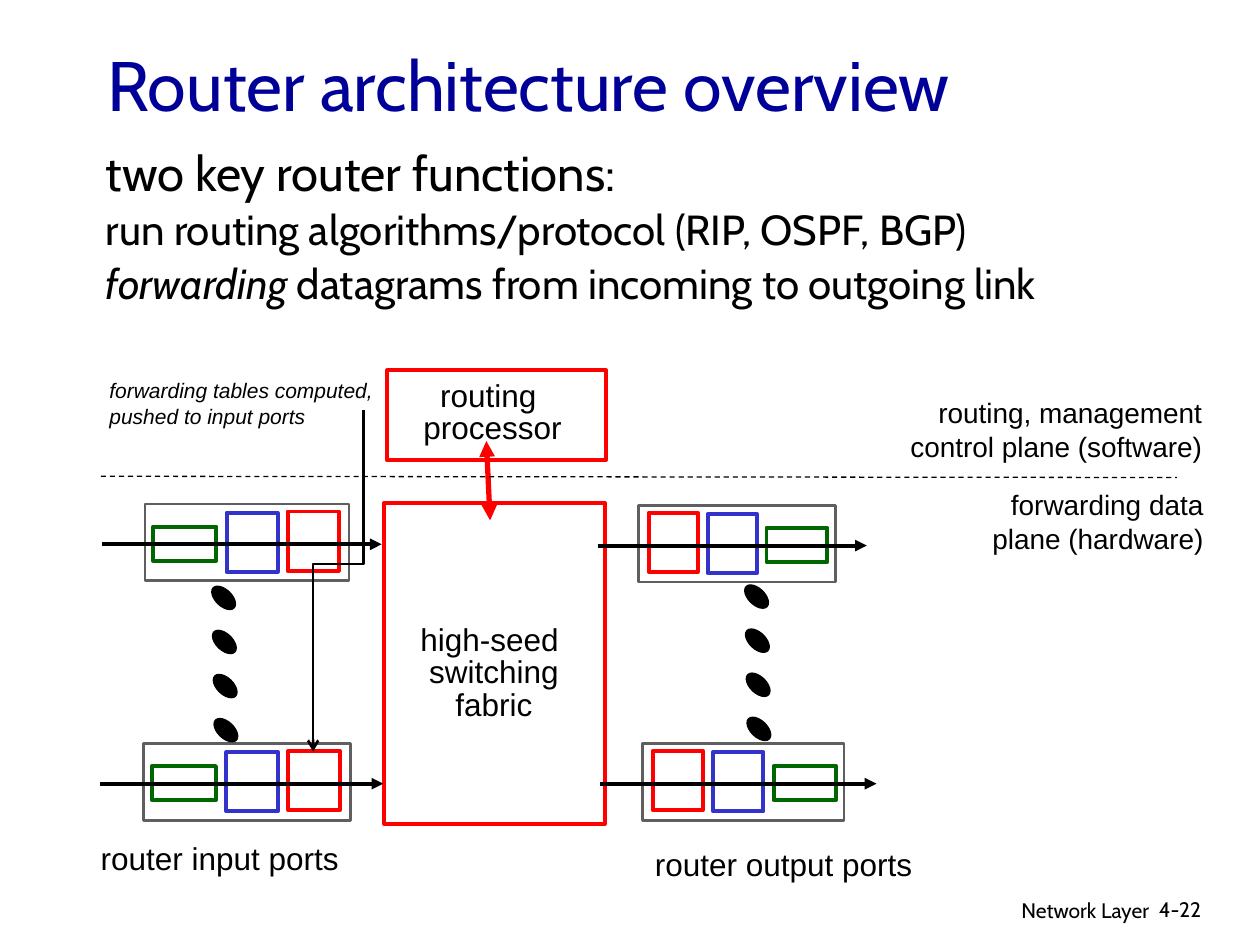
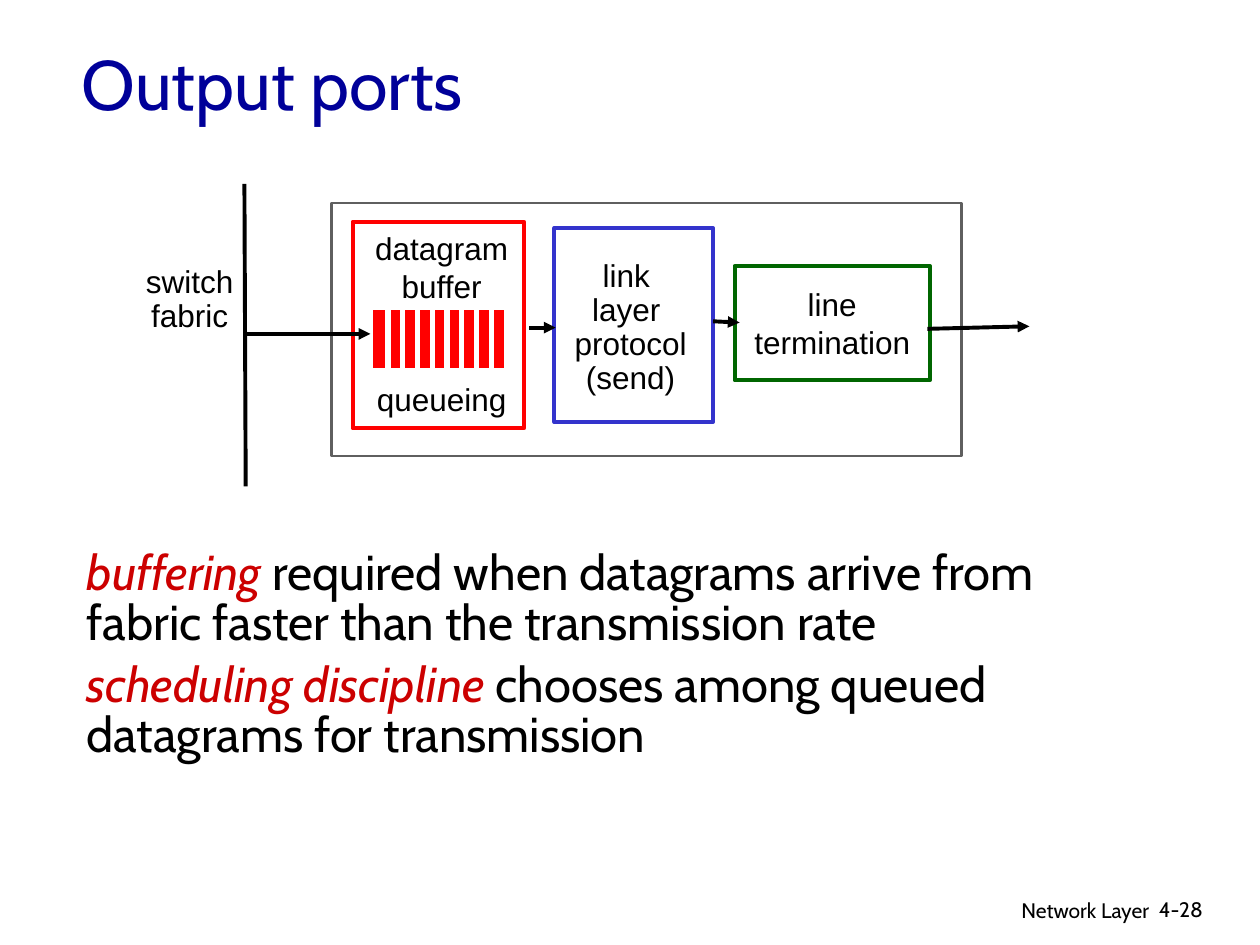
from collections.abc import Sequence
from dataclasses import dataclass, replace

from lxml import etree
from pptx import Presentation
from pptx import util as u
from pptx.dml.color import RGBColor
from pptx.enum import dml, shapes, text
from pptx.oxml.ns import qn

WIDTH, HEIGHT = u.Inches(10), u.Inches(7.5)
COLUMNS, ROWS = 100, 75
BLACK, WHITE, GREY = "000000", "FFFFFF", "5F5F5F"
RED, BLUE, GREEN = "FF0000", "3333CC", "006600"
NAVY, CRIMSON = "000099", "CC0000"
LEFT, CENTER, RIGHT = text.PP_ALIGN.LEFT, text.PP_ALIGN.CENTER, text.PP_ALIGN.RIGHT
TOP, MIDDLE = text.MSO_ANCHOR.TOP, text.MSO_ANCHOR.MIDDLE


@dataclass(frozen=True)
class Area:
    left: float
    top: float
    width: float
    height: float

    def place(self) -> tuple[int, int, int, int]:
        return across(self.left), down(self.top), across(self.width), down(self.height)


@dataclass(frozen=True)
class Style:
    size: float = 18
    font: str = "Arial"
    color: str = BLACK
    italic: bool = False
    align: int = CENTER
    spacing: float = 1.0
    before: float = 0
    anchor: int = TOP
    wrap: bool = False


@dataclass(frozen=True)
class Span:
    words: str
    color: str = ""
    italic: bool = False
    size: float = 0


@dataclass(frozen=True)
class Line:
    start: tuple[float, float]
    end: tuple[float, float]
    color: str = BLACK
    weight: float = 2.25
    head: str = ""
    tail: str = ""


@dataclass(frozen=True)
class Port:
    left: float
    top: float
    width: float
    mirrored: bool = False


@dataclass(frozen=True)
class Part:
    color: str
    offset: float
    share: float
    drop: float
    height: float


DIAGRAM = Style()
TIGHT = replace(DIAGRAM, spacing=0.85)
BLOCK = replace(DIAGRAM, spacing=0.9, anchor=MIDDLE)
CAPTION = replace(DIAGRAM, align=LEFT)
PLANE = replace(DIAGRAM, size=16, align=RIGHT, wrap=True)
NOTE = replace(CAPTION, size=12, italic=True)
TITLE = Style(40, "Cabin", NAVY, align=LEFT, anchor=MIDDLE, wrap=True)
BODY = Style(28, "Cabin", align=LEFT, spacing=0.85, before=6, wrap=True)
FOOTER = Style(12, "Cabin", align=RIGHT, wrap=True)
PORT_HEIGHT = 6.1
PORT_PARTS = (
    Part(GREEN, 0.04, 0.31, 1.8, 2.7),
    Part(BLUE, 0.4, 0.25, 0.7, 4.7),
    Part(RED, 0.7, 0.25, 0.6, 4.7),
)


def across(columns: float) -> int:
    return round(WIDTH * columns / COLUMNS)


def down(rows: float) -> int:
    return round(HEIGHT * rows / ROWS)


def colour(code: str) -> RGBColor:
    return RGBColor.from_string(code)


def write(frame, lines: Sequence, style: Style) -> None:
    frame.word_wrap = style.wrap
    frame.auto_size = text.MSO_AUTO_SIZE.NONE
    frame.vertical_anchor = style.anchor
    for index, line in enumerate(lines):
        para = frame.add_paragraph() if index else frame.paragraphs[0]
        para.alignment = style.align
        para.line_spacing = style.spacing
        para.space_before = u.Pt(style.before if index else 0)
        for span in [Span(line)] if isinstance(line, str) else line:
            run = para.add_run()
            run.text = span.words
            run.font.name = style.font
            run.font.size = u.Pt(span.size or style.size)
            run.font.italic = span.italic or style.italic
            run.font.color.rgb = colour(span.color or style.color)


def add_text(page, area: Area, lines: Sequence, style: Style):
    box = page.shapes.add_textbox(*area.place())
    write(box.text_frame, lines, style)
    return box


def add_box(page, area: Area, line: str = "", weight: float = 2.25, fill: str = WHITE,
            kind: int = shapes.MSO_SHAPE.RECTANGLE):
    box = page.shapes.add_shape(kind, *area.place())
    box.shadow.inherit = False
    box.fill.solid()
    box.fill.fore_color.rgb = colour(fill)
    if line:
        box.line.color.rgb = colour(line)
        box.line.width = u.Pt(weight)
    else:
        box.line.fill.background()
    return box


def add_line(page, line: Line, kind: int = shapes.MSO_CONNECTOR.STRAIGHT):
    connector = page.shapes.add_connector(
        kind, across(line.start[0]), down(line.start[1]), across(line.end[0]), down(line.end[1]))
    connector.line.color.rgb = colour(line.color)
    connector.line.width = u.Pt(line.weight)
    outline = connector.line._get_or_add_ln()
    for tag, arrow in (("a:headEnd", line.head), ("a:tailEnd", line.tail)):
        if arrow:
            etree.SubElement(outline, qn(tag), type=arrow)
    etree.SubElement(connector._element.spPr, qn("a:effectLst"))
    return connector


def add_arrow(page, start: tuple[float, float], end: tuple[float, float]) -> None:
    add_line(page, Line(start, end, tail="triangle"))


def add_port(page, port: Port) -> None:
    add_box(page, Area(port.left, port.top, port.width, PORT_HEIGHT), GREY, 1.5)
    for part in PORT_PARTS:
        offset = 1 - part.offset - part.share if port.mirrored else part.offset
        add_box(page, Area(port.left + offset * port.width, port.top + part.drop,
                           part.share * port.width, part.height), part.color)
    middle = port.top + 3.2
    add_arrow(page, (port.left - 0.21 * port.width, middle),
              (port.left + 1.16 * port.width, middle))


def add_dots(page, left: float, top: float) -> None:
    for index in range(4):
        dot = add_box(page, Area(left + 0.06 * index, top + 3.5 * index, 2.3, 1.3),
                      BLACK, 0.75, BLACK, shapes.MSO_SHAPE.OVAL)
        dot.rotation = 44


def add_page(deck, title: str, area: Area, number: str):
    page = deck.slides.add_slide(deck.slide_layouts[5])
    heading = page.shapes.title
    heading.left, heading.top, heading.width, heading.height = area.place()
    write(heading.text_frame, [title], TITLE)
    add_text(page, Area(60.5, 70.7, 31.7, 3.1), ["Network Layer"], FOOTER)
    add_text(page, Area(91, 70.7, 7.4, 3), [number], replace(FOOTER, align=LEFT))
    return page


def add_table_path(page) -> None:
    elbow = add_line(page, Line((13.3, 44.1), (40.4, 48.1), weight=1.5, tail="arrow"),
                     shapes.MSO_CONNECTOR.ELBOW)
    properties = elbow._element.spPr
    properties.find(qn("a:xfrm")).set("rot", str(90 * 60000))
    guides = properties.find(qn("a:prstGeom")).get_or_add_avLst()
    etree.SubElement(guides, qn("a:gd"), name="adj1", fmla="val 45100")


def build_overview(deck) -> None:
    page = add_page(deck, "Router architecture overview", Area(7.5, 3.3, 85, 6.7), "4-22")
    add_text(page, Area(7.4, 11.5, 88.9, 10), [
        [Span("two key router functions:")],
        [Span("run routing algorithms/protocol (RIP, OSPF, BGP)", size=24)],
        [Span("forwarding ", italic=True, size=24),
         Span("datagrams from incoming to outgoing link", size=24)],
    ], BODY)

    add_box(page, Area(30.5, 39.9, 17.5, 25.5), RED)
    add_text(page, Area(32.4, 49.2, 13.6, 8.7), ["high-seed ", "switching", "fabric"], TIGHT)
    add_box(page, Area(30.7, 29.4, 17.4, 7.1), RED)
    add_text(page, Area(32.6, 29.8, 13, 6.1), ["routing ", "processor"], TIGHT)
    add_line(page, Line((38.6, 35), (38.9, 41.3), RED, 3, "triangle", "triangle"))

    for port in (Port(11.5, 40, 16.2), Port(11.4, 59, 16.4),
                 Port(50.7, 40.1, 15.6, True), Port(51, 59, 16, True)):
        add_port(page, port)
    add_dots(page, 16.6, 46.8)
    add_dots(page, 58.9, 46.7)
    add_text(page, Area(7, 66.1, 20.9, 4), ["router input ports"], CAPTION)
    add_text(page, Area(51, 66.6, 22.4, 4), ["router output ports"], CAPTION)

    divider = add_line(page, Line((8, 37.8), (93.4, 37.9), weight=0.75))
    divider.line.dash_style = dml.MSO_LINE.DASH
    add_text(page, Area(75.3, 38.2, 21.2, 6.4), ["forwarding data plane (hardware)"], PLANE)
    add_text(page, Area(69.6, 30.9, 26.8, 6.4),
             ["routing, management", "control plane (software)"], PLANE)
    add_table_path(page)
    add_text(page, Area(7.7, 29.5, 22.9, 5),
             ["forwarding tables computed,", "pushed to input ports"], NOTE)


def build_output_ports(deck) -> None:
    page = add_page(deck, "Output ports", Area(5.5, 2.8, 85, 7.5), "4-28")
    add_text(page, Area(5.9, 43.2, 85, 10), [
        [Span("buffering", CRIMSON, True),
         Span(" required when datagrams arrive from fabric faster than the transmission rate")],
        [Span("scheduling discipline", CRIMSON, True),
         Span(" chooses among queued datagrams for transmission")],
    ], replace(BODY, before=7))

    add_box(page, Area(26.3, 16.1, 50, 20.1), GREY, 1.5)
    termination = add_box(page, Area(58.3, 21.1, 15.5, 9.1), GREEN)
    write(termination.text_frame, ["line", "termination"], replace(BLOCK, spacing=1.0))
    add_box(page, Area(44, 18.1, 12.6, 15.4), BLUE)
    add_arrow(page, (42, 26), (44.1, 26))
    add_arrow(page, (56.6, 25.5), (58.7, 25.6))
    add_arrow(page, (73.6, 26.1), (81.7, 25.9))
    protocol = add_box(page, Area(44.3, 21.5, 11.5, 9.1))
    write(protocol.text_frame, ["link ", "layer ", "protocol", "(send)"], BLOCK)
    fabric = add_box(page, Area(9.3, 19.3, 11.5, 9.1))
    write(fabric.text_frame, ["switch", "fabric"], BLOCK)

    add_box(page, Area(28, 17.6, 13.6, 16.4), RED)
    buffer = add_text(page, Area(28.8, 17.7, 12.5, 16),
                      ["datagram", "buffer", "queueing"], DIAGRAM)
    buffer.text_frame.paragraphs[-1].space_before = u.Pt(43)
    add_box(page, Area(29.4, 24.4, 10.8, 5), WHITE, 3, RED)
    for index in range(8):
        gap = 30.8 + 1.17 * index
        add_line(page, Line((gap, 24.5), (gap, 29.3), WHITE, 3))
    add_line(page, Line((19.4, 14.6), (19.5, 38.6)))
    add_arrow(page, (19.3, 26.5), (29.4, 26.5))


def main() -> None:
    deck = Presentation()
    deck.slide_width, deck.slide_height = WIDTH, HEIGHT
    build_overview(deck)
    build_output_ports(deck)
    deck.save("out.pptx")


if __name__ == "__main__":
    main()
